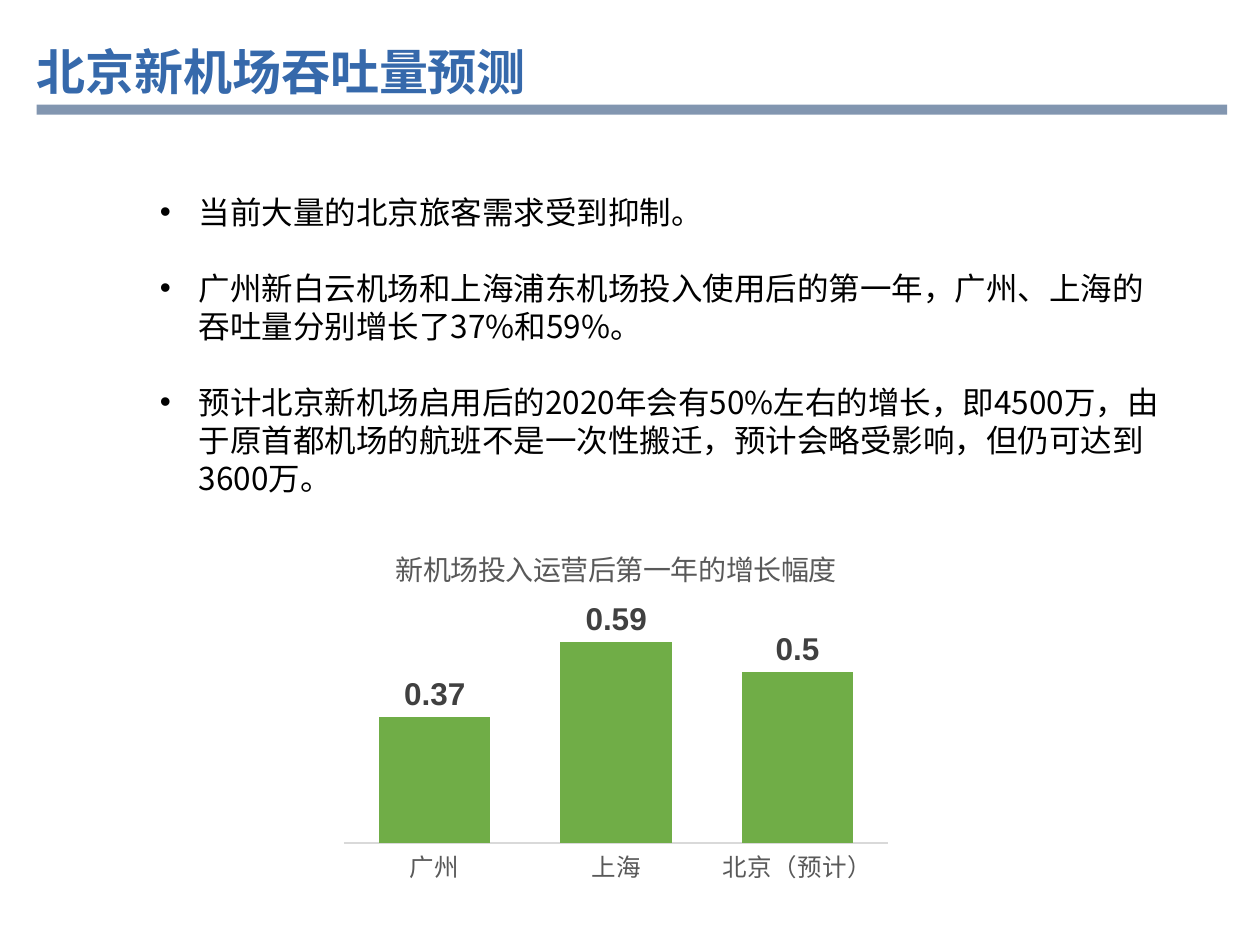
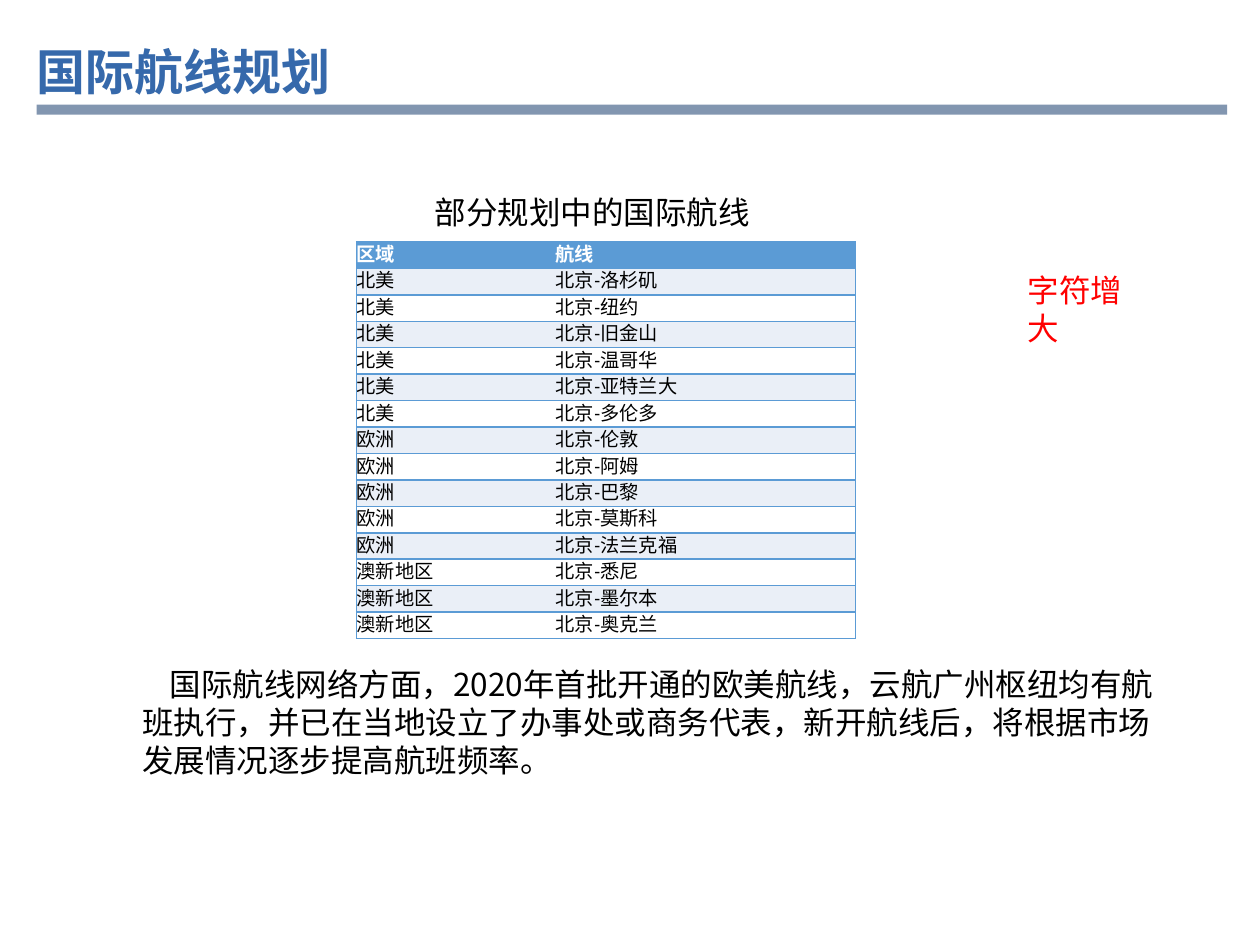
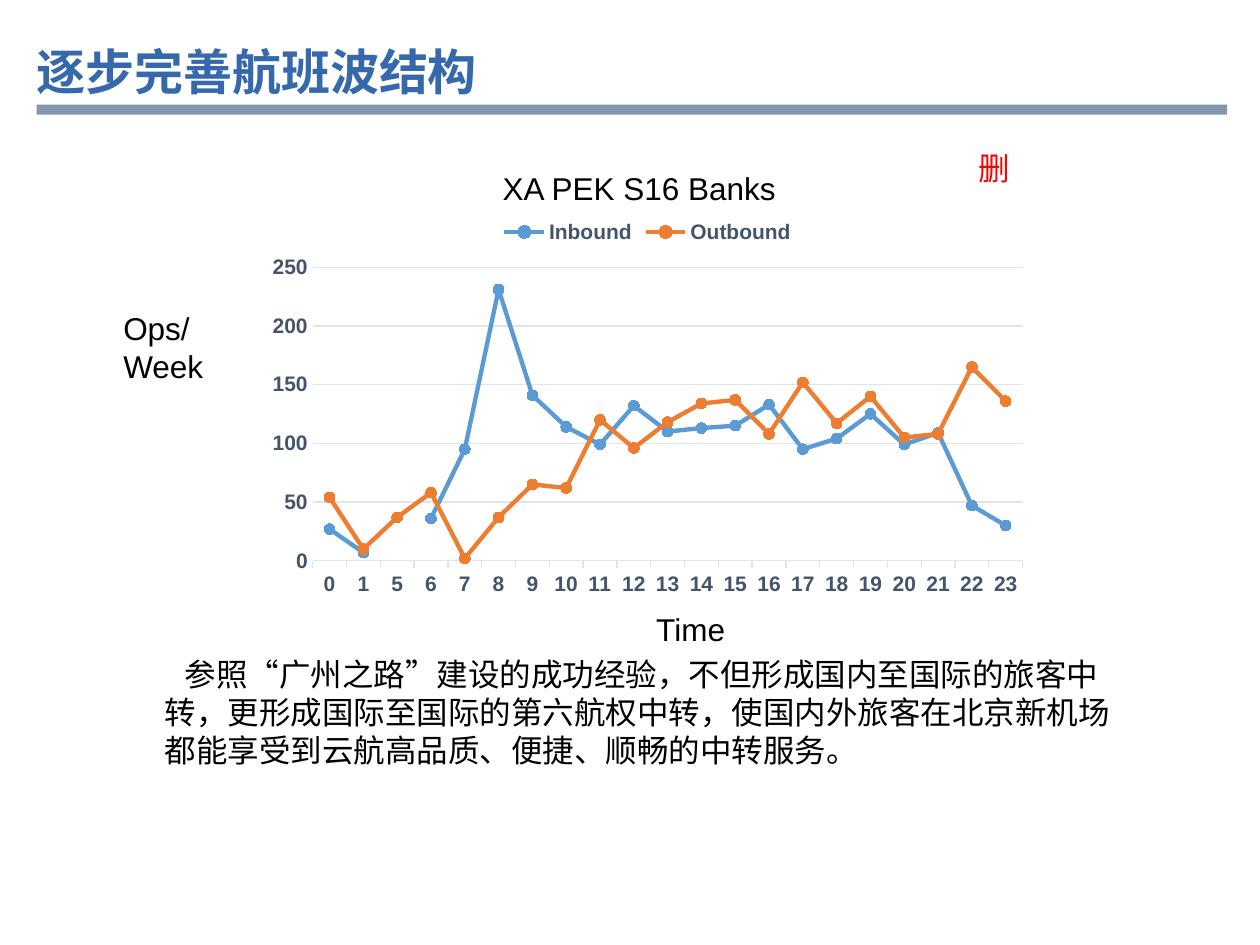
from itertools import chain

from lxml.etree import SubElement
from pptx import Presentation
from pptx.chart.data import CategoryChartData
from pptx.dml.color import RGBColor
from pptx.enum.chart import XL_CHART_TYPE as ChartType
from pptx.enum.chart import XL_LABEL_POSITION as LabelPosition
from pptx.enum.chart import XL_LEGEND_POSITION as LegendPosition
from pptx.enum.chart import XL_MARKER_STYLE as MarkerStyle
from pptx.enum.chart import XL_TICK_LABEL_POSITION as TickLabels
from pptx.enum.chart import XL_TICK_MARK as TickMark
from pptx.enum.shapes import MSO_SHAPE as Shape
from pptx.enum.text import MSO_ANCHOR as Anchor
from pptx.oxml.ns import qn
from pptx.util import Inches, Pt

BLACK = RGBColor(0x00, 0x00, 0x00)
WHITE = RGBColor(0xFF, 0xFF, 0xFF)
RED = RGBColor(0xFF, 0x00, 0x00)
TITLE_BLUE = RGBColor(0x36, 0x69, 0xAB)
BAND_BLUE = RGBColor(0x82, 0x96, 0xB0)
TABLE_BLUE = RGBColor(0x5B, 0x9B, 0xD5)
STRIPE = RGBColor(0xEA, 0xEF, 0xF7)
GREEN = RGBColor(0x70, 0xAD, 0x47)
ORANGE = RGBColor(0xED, 0x7D, 0x31)
INBOUND_MARKER = RGBColor(0x55, 0x9B, 0xDB)
OUTBOUND_MARKER = RGBColor(0xF6, 0x7B, 0x28)
SLATE = RGBColor(0x44, 0x54, 0x6A)
GRID = RGBColor(0xE0, 0xE5, 0xEB)
AXIS_GREY = RGBColor(0xD9, 0xD9, 0xD9)
TEXT_GREY = RGBColor(0x59, 0x59, 0x59)
LABEL_GREY = RGBColor(0x40, 0x40, 0x40)

CHINESE = "Noto Sans CJK SC"
LATIN = "Arial"
TABLE_FONT = "Calibri"
PLAIN_TABLE_STYLE = "{2D5ABB26-0587-4C30-8999-92F81FD0307C}"


def set_font(font, size, color, name=CHINESE, bold=False):
    font.size = Pt(size)
    font.bold = bold
    font.name = name
    font.color.rgb = color
    SubElement(font._element, qn("a:ea"), typeface=CHINESE)


def set_line(line, color, width):
    line.color.rgb = color
    line.width = Pt(width)


def add_border(cell, side):
    """Draw one cell side; side is L, R, T or B."""
    line = SubElement(cell._tc.get_or_add_tcPr(), qn(f"a:ln{side}"), w=str(Pt(1)))
    fill = SubElement(line, qn("a:solidFill"))
    SubElement(fill, qn("a:srgbClr"), val=str(TABLE_BLUE))


class Deck:
    def __init__(self):
        self.presentation = Presentation()
        self.presentation.slide_width = Inches(10)
        self.presentation.slide_height = Inches(7.5)
        self.slide = None

    def add_slide(self, title):
        layout = self.presentation.slide_layouts[6]
        self.slide = self.presentation.slides.add_slide(layout)
        band = self.slide.shapes.add_shape(
            Shape.RECTANGLE, Inches(0.29), Inches(0.83), Inches(9.45), Inches(0.08))
        band.shadow.inherit = False
        band.fill.solid()
        band.fill.fore_color.rgb = BAND_BLUE
        band.line.fill.background()
        box = self.slide.shapes.add_textbox(
            Inches(0.29), Inches(0.35), Inches(5.12), Inches(0.42))
        frame = box.text_frame
        frame.word_wrap = True
        frame.vertical_anchor = Anchor.MIDDLE
        frame.margin_left = frame.margin_right = 0
        frame.margin_top = frame.margin_bottom = 0
        frame.text = title
        set_font(frame.paragraphs[0].runs[0].font, 28, TITLE_BLUE, bold=True)

    def add_text(self, left, top, width, height, text, color=BLACK,
                 font=CHINESE, first_indent=0):
        box = self.slide.shapes.add_textbox(
            Inches(left), Inches(top), Inches(width), Inches(height))
        frame = box.text_frame
        frame.word_wrap = True
        frame.text = text
        for paragraph in frame.paragraphs:
            paragraph.line_spacing = Pt(21.7)
            set_font(paragraph.runs[0].font, 18, color, font)
            if first_indent:
                paragraph._p.get_or_add_pPr().set("indent", str(Inches(first_indent)))
        return frame

    def add_bullets(self, left, top, width, height, items):
        frame = self.add_text(left, top, width, height, "\n".join(items))
        for index, paragraph in enumerate(frame.paragraphs):
            if index:
                paragraph.space_before = Pt(21.7)
            properties = paragraph._p.get_or_add_pPr()
            properties.set("marL", str(Inches(0.31)))
            properties.set("indent", str(-Inches(0.31)))
            SubElement(properties, qn("a:buFont"), typeface=LATIN)
            SubElement(properties, qn("a:buChar"), char="•")

    def add_table(self, left, top, widths, row_height, rows):
        table = self.slide.shapes.add_table(
            len(rows), len(widths), Inches(left), Inches(top),
            Inches(sum(widths)), Inches(row_height * len(rows))).table
        table._tbl.tblPr.find(qn("a:tableStyleId")).text = PLAIN_TABLE_STYLE
        for column, width in zip(table.columns, widths):
            column.width = Inches(width)
        for row_index, values in enumerate(rows):
            table.rows[row_index].height = Inches(row_height)
            for column_index, value in enumerate(values):
                self.fill_cell(table.cell(row_index, column_index), value, row_index,
                               "L" if column_index == 0 else "R")

    def fill_cell(self, cell, value, row_index, outer_side):
        is_header = row_index == 0
        cell.margin_left = cell.margin_right = 0
        cell.margin_top = cell.margin_bottom = 0
        cell.vertical_anchor = Anchor.MIDDLE
        for side in (outer_side, "T", "B"):
            add_border(cell, side)
        cell.fill.solid()
        body_fill = STRIPE if row_index % 2 else WHITE
        cell.fill.fore_color.rgb = TABLE_BLUE if is_header else body_fill
        cell.text_frame.text = value
        paragraph = cell.text_frame.paragraphs[0]
        paragraph.line_spacing = Pt(13.5)
        set_font(paragraph.runs[0].font, 11, WHITE if is_header else BLACK,
                 TABLE_FONT, is_header)

    def add_chart(self, kind, left, top, width, height, categories, series):
        data = CategoryChartData()
        data.categories = categories
        for name, values in series.items():
            data.add_series(name, values)
        chart = self.slide.shapes.add_chart(
            kind, Inches(left), Inches(top), Inches(width), Inches(height), data).chart
        set_font(chart.font, 10, BLACK, LATIN)
        chart.has_title = False
        chart.has_legend = False
        chart.plots[0].vary_by_categories = False
        return chart

    def add_growth_chart(self, categories, values):
        chart = self.add_chart(ChartType.COLUMN_CLUSTERED, 2.64, 4.18, 4.5, 2.89,
                               categories, {"Series 1": values})
        title = chart.chart_title.text_frame
        title.text = "新机场投入运营后第一年的增长幅度"
        set_font(title.paragraphs[0].runs[0].font, 16, TEXT_GREY)
        category_axis = chart.category_axis
        category_axis.major_tick_mark = TickMark.NONE
        set_font(category_axis.tick_labels.font, 14, TEXT_GREY)
        set_line(category_axis.format.line, AXIS_GREY, 0.75)
        value_axis = chart.value_axis
        value_axis.minimum_scale = 0
        value_axis.maximum_scale = 0.7
        value_axis.has_major_gridlines = False
        value_axis.visible = False
        plot = chart.plots[0]
        plot.gap_width = 63
        plot.overlap = -55
        fill = plot.series[0].format.fill
        fill.solid()
        fill.fore_color.rgb = GREEN
        labels = plot.series[0].data_labels
        labels.show_value = True
        labels.position = LabelPosition.OUTSIDE_END
        labels.number_format = "General"
        labels.number_format_is_linked = False
        set_font(labels.font, 18, LABEL_GREY, LATIN, True)

    def add_banks_chart(self, categories, series, colors):
        chart = self.add_chart(ChartType.LINE_MARKERS, 2.04, 1.64, 6.2, 3.15,
                               categories, series)
        chart.has_legend = True
        chart.legend.position = LegendPosition.TOP
        chart.legend.include_in_layout = False
        set_font(chart.legend.font, 12, SLATE, LATIN, True)
        category_axis, value_axis = chart.category_axis, chart.value_axis
        for axis in (category_axis, value_axis):
            set_font(axis.tick_labels.font, 12, SLATE, LATIN, True)
        category_axis.major_tick_mark = TickMark.OUTSIDE
        category_axis.tick_label_position = TickLabels.LOW
        set_line(category_axis.format.line, GRID, 0.75)
        value_axis.major_tick_mark = TickMark.NONE
        value_axis.minimum_scale = 0
        value_axis.maximum_scale = 250
        value_axis.major_unit = 50
        value_axis.format.line.fill.background()
        set_line(value_axis.major_gridlines.format.line, GRID, 0.75)
        for line, (line_color, marker_color) in zip(chart.plots[0].series, colors):
            line.smooth = False
            set_line(line.format.line, line_color, 2.5)
            line.marker.style = MarkerStyle.CIRCLE
            line.marker.size = 6
            line.marker.format.fill.solid()
            line.marker.format.fill.fore_color.rgb = marker_color
            set_line(line.marker.format.line, marker_color, 0.75)


def add_forecast_slide(deck):
    deck.add_slide("北京新机场吞吐量预测")
    deck.add_bullets(1.17, 1.48, 8.13, 2.52, [
        "当前大量的北京旅客需求受到抑制。",
        "广州新白云机场和上海浦东机场投入使用后的第一年，广州、上海的吞吐量分别增长了37%和59%。",
        "预计北京新机场启用后的2020年会有50%左右的增长，即4500万，"
        "由于原首都机场的航班不是一次性搬迁，预计会略受影响，但仍可达到3600万。",
    ])
    deck.add_growth_chart(["广州", "上海", "北京（预计）"], [0.37, 0.59, 0.5])


def add_routes_slide(deck):
    deck.add_slide("国际航线规划")
    destinations = {
        "北美": ["洛杉矶", "纽约", "旧金山", "温哥华", "亚特兰大", "多伦多"],
        "欧洲": ["伦敦", "阿姆", "巴黎", "莫斯科", "法兰克福"],
        "澳新地区": ["悉尼", "墨尔本", "奥克兰"],
    }
    routes = [(region, f"北京-{city}")
              for region, cities in destinations.items() for city in cities]
    deck.add_table(2.83, 1.92, [1.58, 2.38], 0.21, [("区域", "航线"), *routes])
    deck.add_text(3.35, 1.48, 2.75, 0.4, "部分规划中的国际航线", font=TABLE_FONT)
    deck.add_text(
        1.03, 5.23, 8.23, 1,
        "国际航线网络方面，2020年首批开通的欧美航线，云航广州枢纽均有航班执行，"
        "并已在当地设立了办事处或商务代表，新开航线后，将根据市场发展情况逐步提高航班频率。",
        first_indent=0.22)
    deck.add_text(8.06, 2.1, 1.18, 0.7, "字符增大", RED, TABLE_FONT)


def add_banks_slide(deck):
    deck.add_slide("逐步完善航班波结构")
    deck.add_text(
        1.21, 5.15, 7.74, 1,
        "参照“广州之路”建设的成功经验，不但形成国内至国际的旅客中转，"
        "更形成国际至国际的第六航权中转，"
        "使国内外旅客在北京新机场都能享受到云航高品质、便捷、顺畅的中转服务。",
        first_indent=0.16)
    hours = [str(hour) for hour in chain(range(2), range(5, 24))]
    operations = {
        "Inbound": [27, 7, None, 36, 95, 231, 141, 114, 99, 132, 110, 113, 115, 133,
                    95, 104, 125, 99, 109, 47, 30],
        "Outbound": [54, 10, 37, 58, 2, 37, 65, 62, 120, 96, 118, 134, 137, 108,
                     152, 117, 140, 105, 108, 165, 136],
    }
    deck.add_banks_chart(hours, operations,
                         [(TABLE_BLUE, INBOUND_MARKER), (ORANGE, OUTBOUND_MARKER)])
    deck.add_text(0.88, 2.4, 0.92, 0.7, "Ops/Week", font=LATIN)
    deck.add_text(5.11, 4.79, 0.79, 0.4, "Time", font=LATIN)
    deck.add_text(3.89, 1.29, 3.02, 0.4, "XA PEK S16 Banks", font=LATIN)
    deck.add_text(7.67, 1.13, 1.22, 0.4, "删", RED, TABLE_FONT)


def main():
    deck = Deck()
    add_forecast_slide(deck)
    add_routes_slide(deck)
    add_banks_slide(deck)
    deck.presentation.save("out.pptx")


if __name__ == "__main__":
    main()
